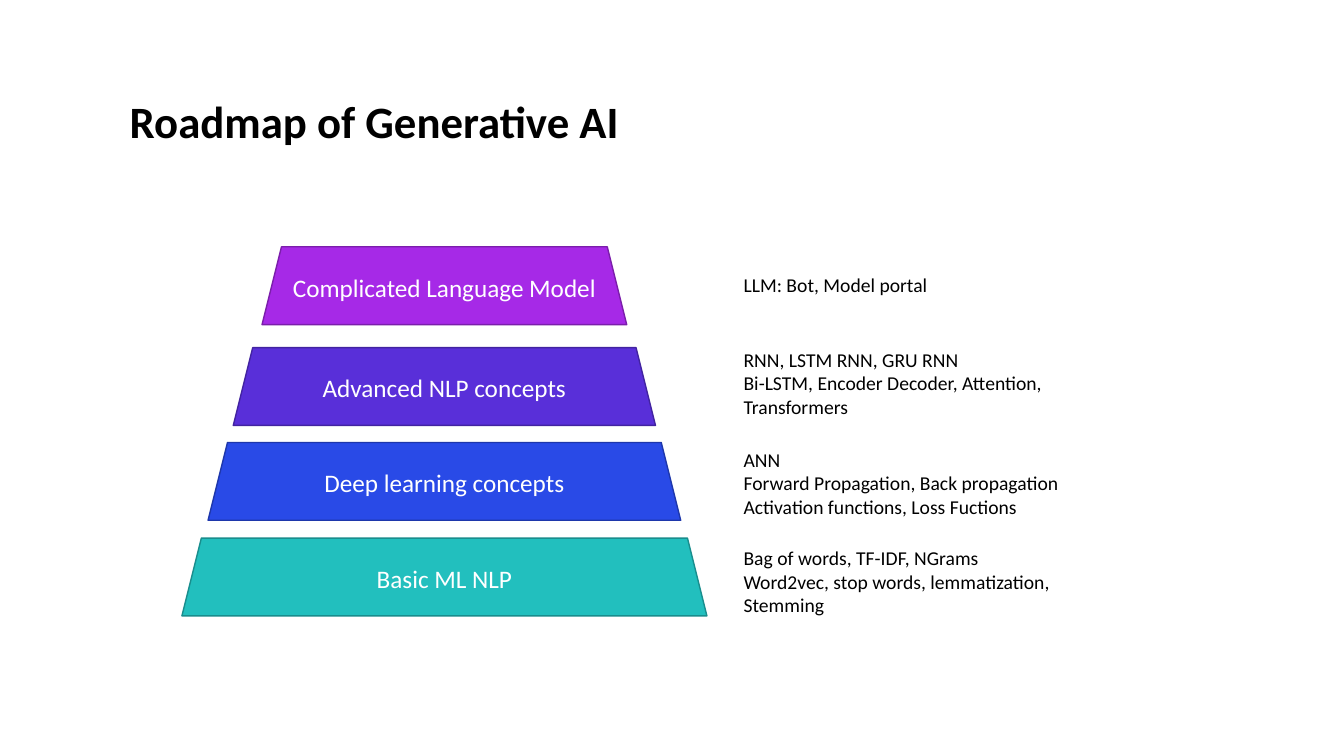
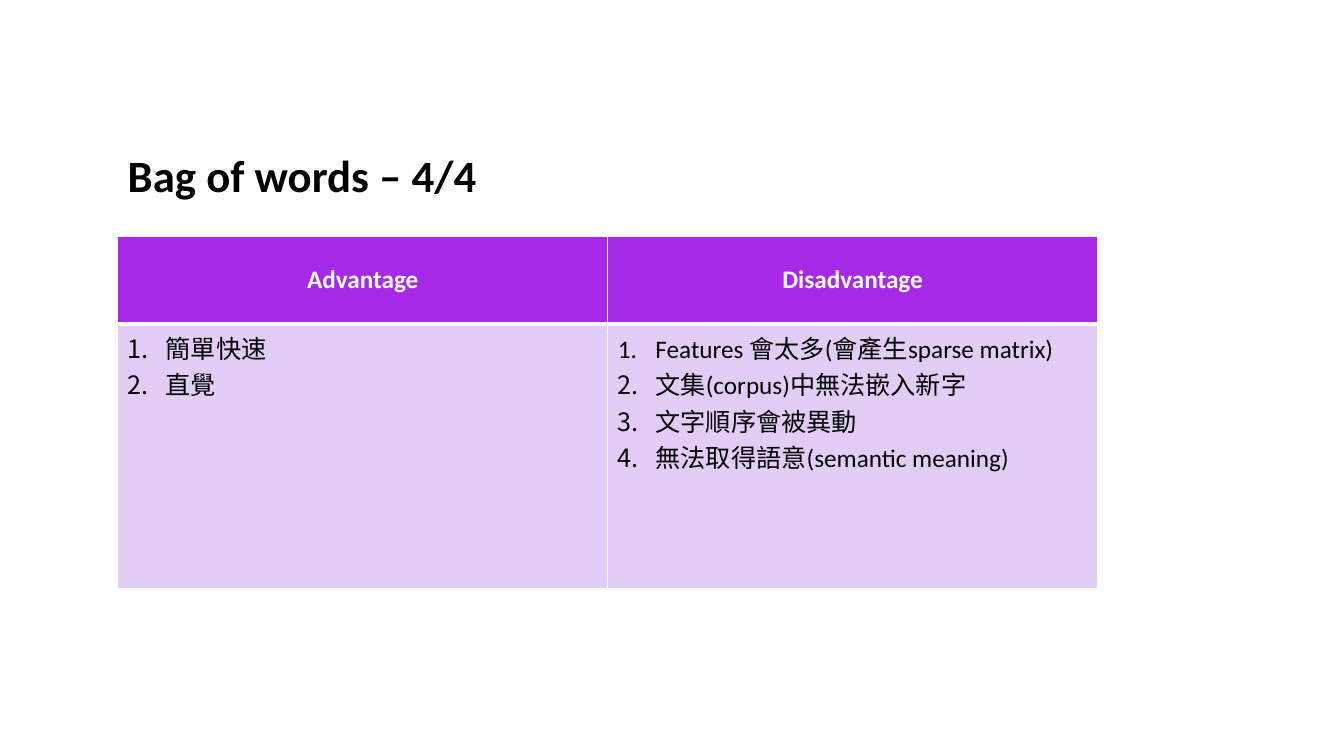
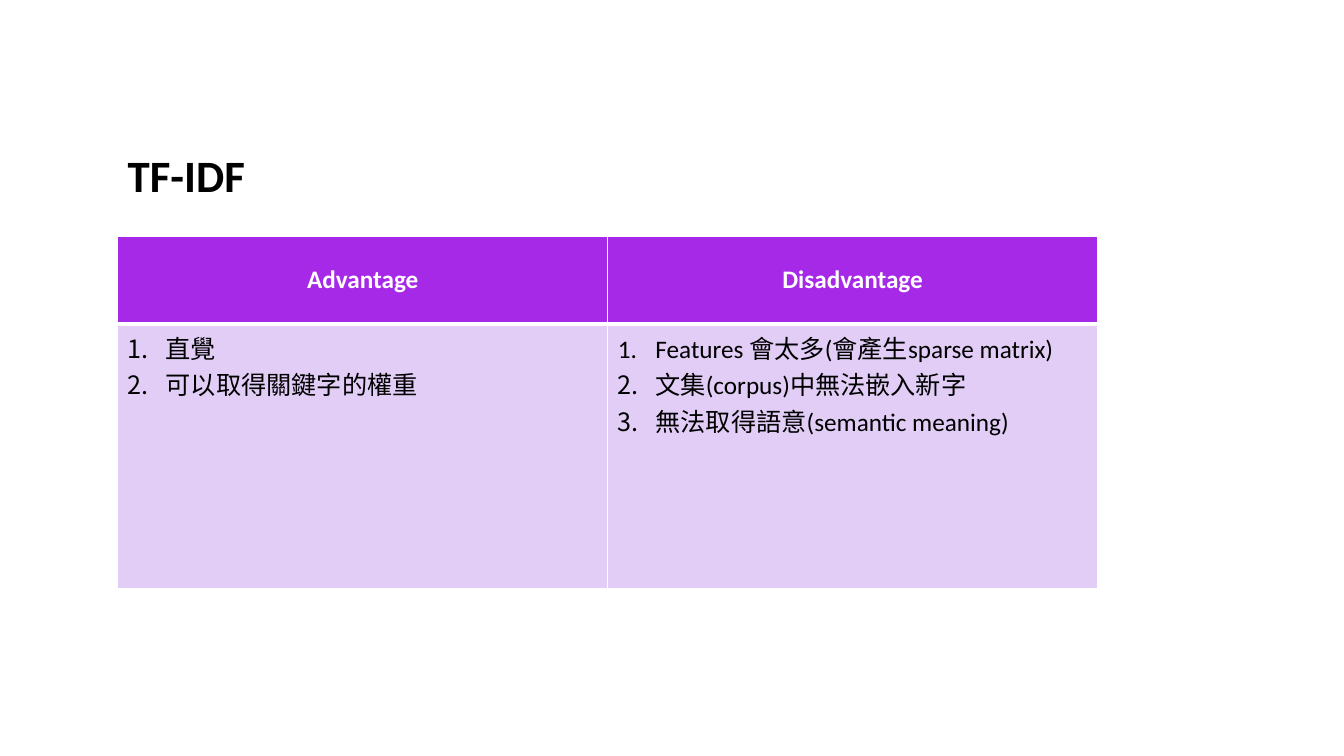
import pptx
import pptx.util
import pptx.dml.color
import pptx.enum.shapes
import pptx.enum.text
import lxml.etree
from pptx.oxml.ns import qn

Cm = pptx.util.Cm
Pt = pptx.util.Pt
RGB = pptx.dml.color.RGBColor
ALIGN = pptx.enum.text.PP_ALIGN
ANCHOR = pptx.enum.text.MSO_ANCHOR
SHAPE = pptx.enum.shapes.MSO_SHAPE

BLACK = RGB(0x00, 0x00, 0x00)
WHITE = RGB(0xFF, 0xFF, 0xFF)
PURPLE = RGB(0xA6, 0x29, 0xE7)
PLUM = RGB(0x7B, 0x1E, 0xAB)
VIOLET = RGB(0x59, 0x2F, 0xD9)
GRAPE = RGB(0x42, 0x23, 0xA1)
BLUE = RGB(0x29, 0x4A, 0xE7)
NAVY = RGB(0x1E, 0x37, 0xAB)
TEAL = RGB(0x22, 0xBF, 0xBE)
PINE = RGB(0x19, 0x8D, 0x8D)
LILAC = RGB(0xE1, 0xCD, 0xF6)
FONT = "Calibri"


def write(frame, text, size=18, color=BLACK, bold=False, align=ALIGN.LEFT,
          anchor=ANCHOR.TOP, space=None, number=False):
    frame.word_wrap = True
    frame.vertical_anchor = anchor
    for i, line in enumerate(text.split("\n")):
        para = frame.add_paragraph() if i else frame.paragraphs[0]
        para.alignment = align
        if space:
            para.line_spacing = space
        if number:
            props = para._p.get_or_add_pPr()
            indent = Cm(0.95)
            props.set("marL", str(indent))
            props.set("indent", str(-indent))
            mark = lxml.etree.SubElement(props, qn("a:buAutoNum"))
            mark.set("type", "arabicPeriod")
        run = para.add_run()
        run.text = line
        run.font.name = FONT
        run.font.size = Pt(size)
        run.font.bold = bold
        run.font.color.rgb = color


class Deck:
    def __init__(self):
        self.file = pptx.Presentation()
        self.file.slide_width = Cm(33.87)
        self.file.slide_height = Cm(19.05)
        self.slide = None

    def start(self, title, left, top):
        self.slide = self.file.slides.add_slide(self.file.slide_layouts[6])
        self.text(title, left, top, 24.69, 2.64, size=32, bold=True,
                  anchor=ANCHOR.BOTTOM, space=0.9)

    def text(self, text, left, top, width, height, **style):
        box = self.slide.shapes.add_textbox(
            Cm(left), Cm(top), Cm(width), Cm(height))
        write(box.text_frame, text, **style)

    def tier(self, text, mid, top, width, fill, edge):
        shape = self.slide.shapes.add_shape(
            SHAPE.TRAPEZOID, Cm(mid - width / 2), Cm(top), Cm(width), Cm(1.96))
        shape.shadow.inherit = False
        shape.fill.solid()
        shape.fill.fore_color.rgb = fill
        shape.line.color.rgb = edge
        shape.line.width = Pt(1)
        write(shape.text_frame, text, color=WHITE, align=ALIGN.CENTER,
              anchor=ANCHOR.MIDDLE)

    def cell(self, cell, text, fill, edges, **style):
        write(cell.text_frame, text, **style)
        cell.vertical_anchor = style.get("anchor", ANCHOR.TOP)
        cell.fill.solid()
        cell.fill.fore_color.rgb = fill
        props = cell._tc.get_or_add_tcPr()
        for i, (side, width) in enumerate(zip("LRTB", edges)):
            line = lxml.etree.Element(qn("a:ln" + side), w=str(Pt(width)))
            solid = lxml.etree.SubElement(line, qn("a:solidFill"))
            lxml.etree.SubElement(solid, qn("a:srgbClr"), val=str(WHITE))
            props.insert(i, line)

    def table(self, heads, lists):
        frame = self.slide.shapes.add_table(
            2, len(heads), Cm(2.97), Cm(5.95), Cm(24.69), Cm(8.87))
        grid = frame.table
        for row, height in zip(grid.rows, (2.21, 6.66)):
            row.height = Cm(height)
        for i, (head, items) in enumerate(zip(heads, lists)):
            self.cell(grid.cell(0, i), head, PURPLE, (1, 1, 1, 3),
                      color=WHITE, bold=True, align=ALIGN.CENTER,
                      anchor=ANCHOR.MIDDLE)
            self.cell(grid.cell(1, i), "\n".join(items), LILAC, (1, 1, 3, 1),
                      number=True)


TIERS = [
    ("Complicated Language Model", 6.22, 9.19, PURPLE, PLUM),
    ("Advanced NLP concepts", 8.76, 10.64, VIOLET, GRAPE),
    ("Deep learning concepts", 11.15, 11.91, BLUE, NAVY),
    ("Basic ML NLP", 13.56, 13.23, TEAL, PINE),
]
NOTES = [
    ("LLM: Bot, Model portal", 6.76, 6.05, 0.86),
    ("RNN, LSTM RNN, GRU RNN\nBi-LSTM, Encoder Decoder, Attention,\n"
     "Transformers", 8.64, 9.45, 2.06),
    ("ANN\nForward Propagation, Back propagation\n"
     "Activation functions, Loss Fuctions", 11.15, 9.73, 2.06),
    ("Bag of words, TF-IDF, NGrams\nWord2vec, stop words, lemmatization,\n"
     "Stemming", 13.64, 9.22, 2.06),
]
HEADS = ["Advantage", "Disadvantage"]
SPARSE = "Features 會太多(會產生sparse matrix)"
CORPUS = "文集(corpus)中無法嵌入新字"
MEANING = "無法取得語意(semantic meaning)"
TABLES = [
    ("Bag of words – 4/4",
     [["簡單快速", "直覺"],
      [SPARSE, CORPUS, "文字順序會被異動", MEANING]]),
    ("TF-IDF",
     [["直覺", "可以取得關鍵字的權重"],
      [SPARSE, CORPUS, MEANING]]),
]


def main():
    deck = Deck()
    deck.start("Roadmap of Generative AI", 3.02, 1.22)
    for name, top, width, fill, edge in TIERS:
        deck.tier(name, 11.2, top, width, fill, edge)
    for note, top, width, height in NOTES:
        deck.text(note, 18.49, top, width, height, size=14)
    for title, lists in TABLES:
        deck.start(title, 2.97, 2.59)
        deck.table(HEADS, lists)
    deck.file.save("out.pptx")


if __name__ == "__main__":
    main()
